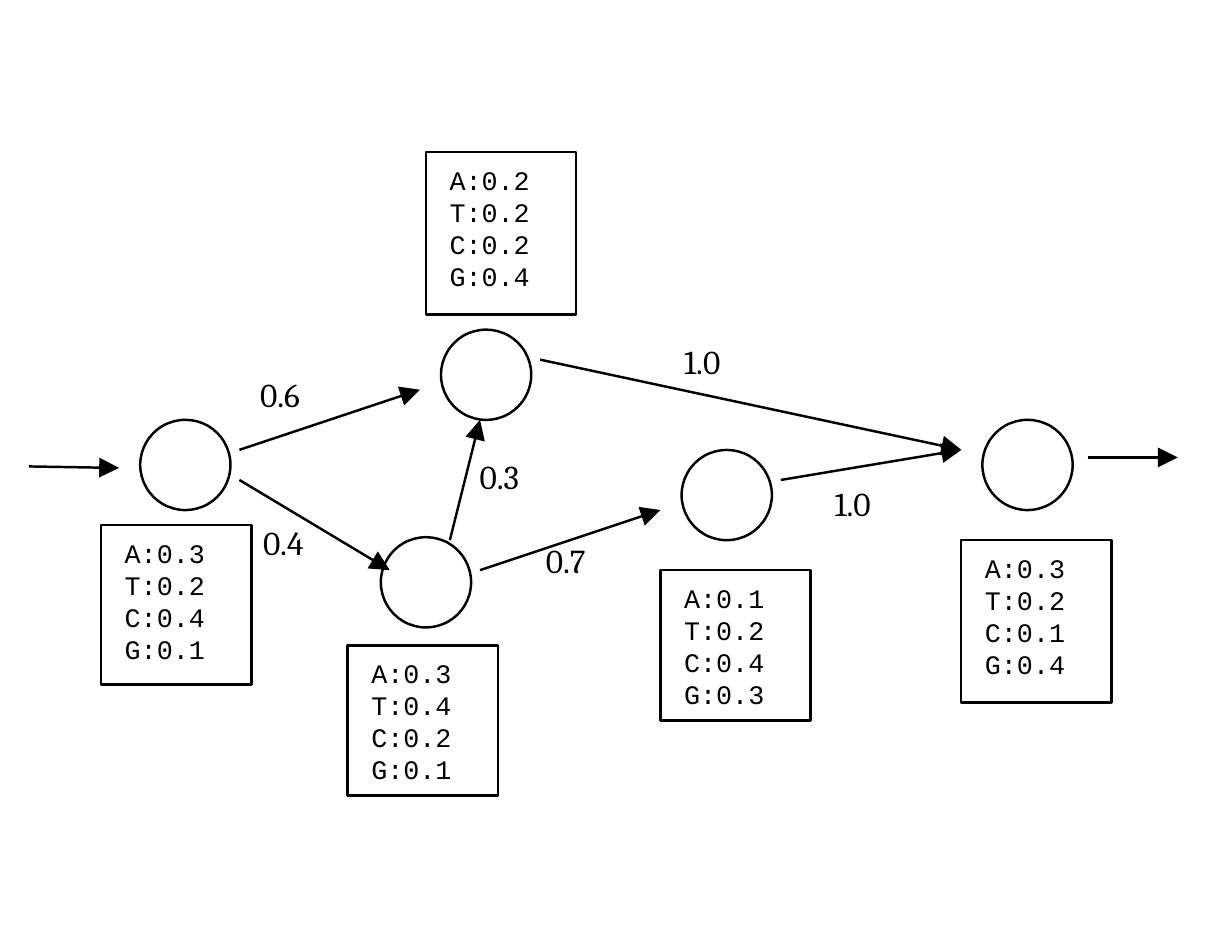
from lxml.etree import SubElement
from pptx import Presentation
from pptx.dml.color import RGBColor
from pptx.enum.shapes import MSO_CONNECTOR, MSO_SHAPE
from pptx.enum.text import MSO_ANCHOR, PP_ALIGN
from pptx.oxml.ns import qn
from pptx.util import Inches, Pt

BLACK = RGBColor(0x00, 0x00, 0x00)
WHITE = RGBColor(0xFF, 0xFF, 0xFF)

# Positions and sizes below are columns and rows of the diagram grid.
STATES = [  # circle position, emission box (column, row, height), emissions
    ((3.7, 13), (2.4, 16.5, 5.3), {"A": 0.3, "T": 0.2, "C": 0.4, "G": 0.1}),
    ((13.7, 10), (13.2, 4.1, 5.4), {"A": 0.2, "T": 0.2, "C": 0.2, "G": 0.4}),
    ((11.7, 16.9), (10.6, 20.5, 5), {"A": 0.3, "T": 0.4, "C": 0.2, "G": 0.1}),
    ((21.7, 14), (21, 18, 5), {"A": 0.1, "T": 0.2, "C": 0.4, "G": 0.3}),
    ((31.7, 13), (31, 17, 5.4), {"A": 0.3, "T": 0.2, "C": 0.1, "G": 0.4}),
]
TRANSITIONS = [  # start, end, label position, probability
    ((7, 14), (13, 12), (6.9, 11.1), 0.6),
    ((7, 15), (12, 18), (7, 16), 0.4),
    ((17, 11), (31, 14), (21, 10), 1.0),
    ((15, 18), (21, 16), (16.4, 16.6), 0.7),
    ((25, 15), (31, 14), (26, 14.7), 1.0),
    ((14, 17), (15, 13), (14.2, 13.8), 0.3),
]
ENTRY = ((0, 14.55), (3, 14.6))
EXIT = ((35.2, 14.25), (38.2, 14.25))


class StateDiagram:
    CELL = 0.125
    ORIGIN = 0.12
    CIRCLE = 3
    BOX_WIDTH = 5
    LABEL_SIZE = (5.4, 2.5)
    LINE_WIDTH = Pt(0.75)
    EMISSION_FONT = {"name": "Courier New", "size": Pt(8)}
    LABEL_FONT = {"name": "Cambria", "size": Pt(10)}
    FRAME = {
        "word_wrap": True,
        "vertical_anchor": MSO_ANCHOR.TOP,
        "margin_left": Inches(0.1),
        "margin_right": Inches(0.1),
        "margin_top": Inches(0.05),
        "margin_bottom": Inches(0.05),
    }

    def __init__(self, slide):
        self.slide = slide

    def place(self, *position):
        return [Inches(self.ORIGIN + step * self.CELL) for step in position]

    def span(self, *size):
        return [Inches(step * self.CELL) for step in size]

    def fill_text(self, holder, lines, font):
        frame = holder.text_frame
        for name, value in self.FRAME.items():
            setattr(frame, name, value)
        frame.text = "\n".join(lines)
        for paragraph in frame.paragraphs:
            paragraph.alignment = PP_ALIGN.JUSTIFY
            run_font = paragraph.runs[0].font
            run_font.color.rgb = BLACK
            for name, value in font.items():
                setattr(run_font, name, value)

    def outline(self, kind, position, size):
        shape = self.slide.shapes.add_shape(
            kind, *self.place(*position), *self.span(*size))
        shape.shadow.inherit = False
        shape.fill.solid()
        shape.fill.fore_color.rgb = WHITE
        shape.line.color.rgb = BLACK
        shape.line.width = self.LINE_WIDTH
        return shape

    def state(self, position):
        self.outline(MSO_SHAPE.OVAL, position, (self.CIRCLE, self.CIRCLE))

    def emission_box(self, column, row, height, emissions):
        box = self.outline(
            MSO_SHAPE.RECTANGLE, (column, row), (self.BOX_WIDTH, height))
        lines = [f"{base}:{chance}" for base, chance in emissions.items()]
        self.fill_text(box, lines, self.EMISSION_FONT)

    def arrow(self, start, end):
        arrow = self.slide.shapes.add_connector(
            MSO_CONNECTOR.STRAIGHT, *self.place(*start), *self.place(*end))
        arrow.line.color.rgb = BLACK
        arrow.line.width = self.LINE_WIDTH
        properties = arrow.element.spPr
        SubElement(properties.find(qn("a:ln")), qn("a:tailEnd"), type="triangle")
        SubElement(properties, qn("a:effectLst"))

    def probability(self, position, chance):
        label = self.slide.shapes.add_textbox(
            *self.place(*position), *self.span(*self.LABEL_SIZE))
        self.fill_text(label, [str(chance)], self.LABEL_FONT)


def main():
    deck = Presentation()
    deck.slide_width, deck.slide_height = Inches(5.12), Inches(3.94)
    diagram = StateDiagram(deck.slides.add_slide(deck.slide_layouts[6]))

    for circle, _, _ in STATES:
        diagram.state(circle)
    for start, end, label, chance in TRANSITIONS:
        diagram.arrow(start, end)
        diagram.probability(label, chance)
    for start, end in (ENTRY, EXIT):
        diagram.arrow(start, end)
    for _, box, emissions in STATES:
        diagram.emission_box(*box, emissions)

    deck.save("out.pptx")


if __name__ == "__main__":
    main()
